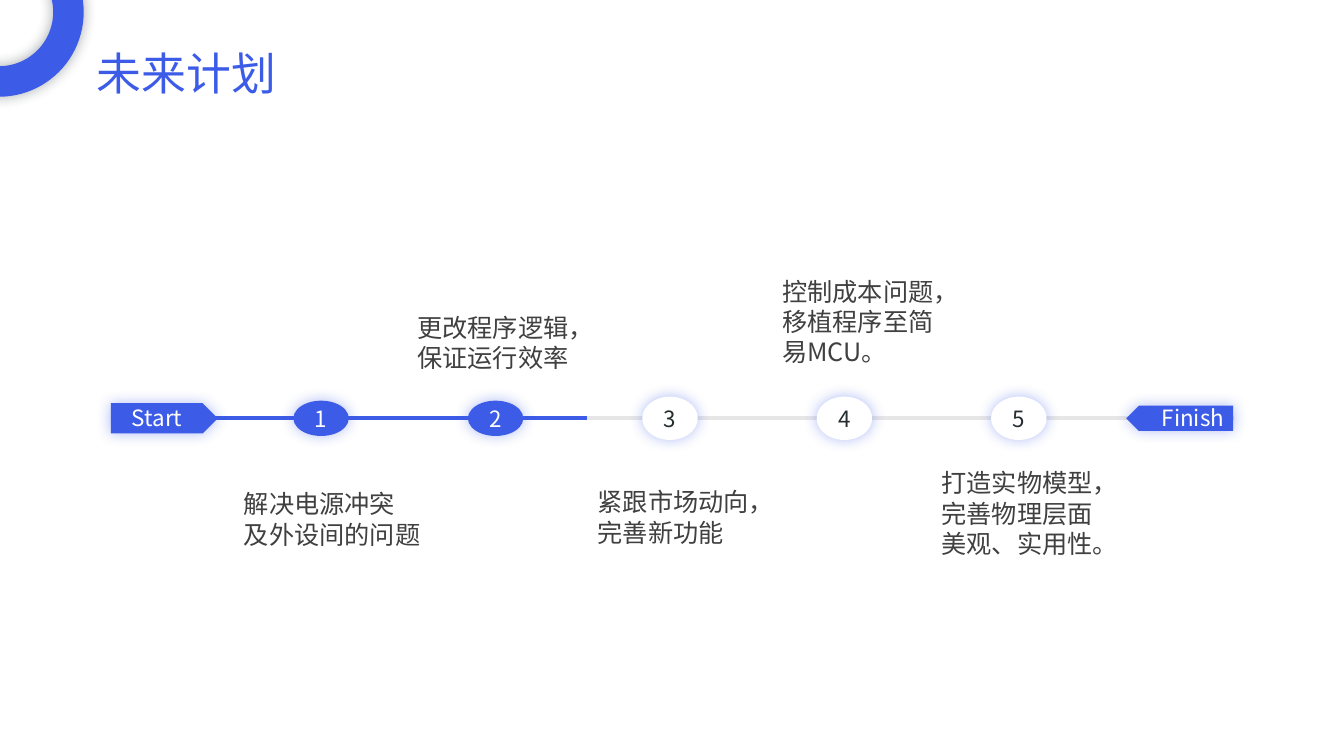
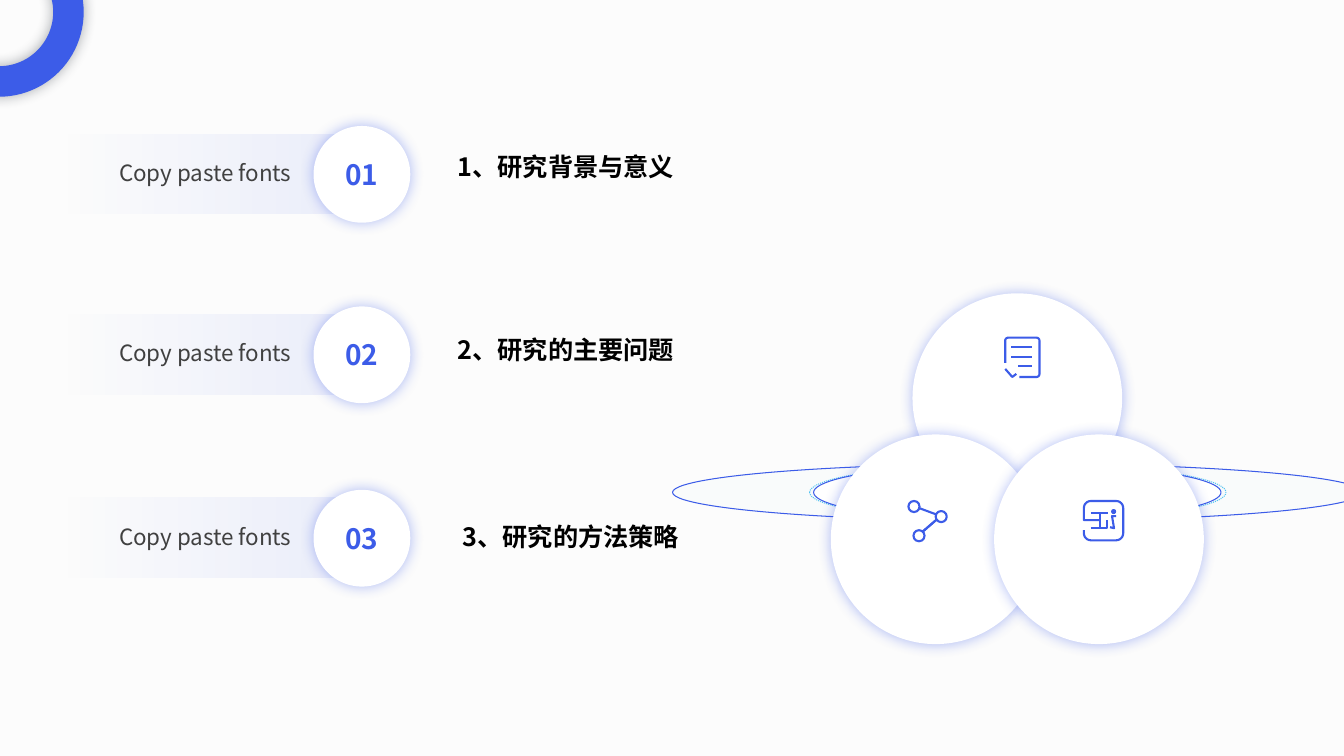
"""Builds a plan timeline slide and a contents slide with a three-circle emblem."""
import math

from lxml import etree
from pptx import Presentation, util as u
from pptx.dml.color import RGBColor
from pptx.enum import dml, shapes, text
from pptx.oxml.ns import qn

FONT = "Noto Sans CJK SC"
COLORS = {
    "blue": "3C5CE8", "white": "FFFFFF", "body": "404040", "digit": "252D30",
    "black": "000000", "track": "E7E6E6", "navy": "222A35", "page": "FCFCFC",
    "pale": "D3EDFB", "sky": "52C3F1",
}
OVAL = shapes.MSO_SHAPE.OVAL

PLAN_TITLE = "未来计划"
AXIS_Y, DONE_UNTIL = 4.15, 5.82
FIRST_STEP, STEP_GAP, STEP_WIDTH = 2.91, 1.73, 0.55
STEPS = [
    (True, 2.32, 4.8, ["解决电源冲突", "及外设间的问题"]),
    (True, 4.04, 3.05, ["更改程序逻辑，保证运行效率"]),
    (False, 5.83, 4.78, ["紧跟市场动向，", "完善新功能"]),
    (False, 7.66, 2.69, ["控制成本问题，", "移植程序至简", "易MCU。"]),
    (False, 9.24, 4.59, ["打造实物模型，", "完善物理层面", "美观、实用性。"]),
]
FLAGS = [
    ("Start", 1.1, 0.3, 0, 1.21, "LEFT"),
    ("Finish", 11.17, 0.25, 180, 11.33, "RIGHT"),
]

CHAPTERS = [
    ("01", 1.25, 4.44, 1.45, "1、研究背景与意义"),
    ("02", 3.04, 4.44, 3.27, "2、研究的主要问题"),
    ("03", 4.86, 4.49, 5.12, "3、研究的方法策略"),
]
CHAPTER_LABEL = "Copy paste fonts"
ORBITS = [
    (6.67, 6.85, "pale", 5, "blue"),
    (8.03, 4.13, "pale", 7, "sky"),
    (8.07, 4.04, "white", 100, "blue"),
]
DISCS = [(9.05, 2.91), (8.24, 4.31), (9.86, 4.31)]


def arc(cx, cy, radius, start, end):
    """Return points along an arc, angles in degrees clockwise from the right."""
    angles = [math.radians(start + (end - start) * i / 6) for i in range(7)]
    return [(cx + radius * math.cos(a), cy + radius * math.sin(a)) for a in angles]


CHECKLIST_STROKES = [
    [(9.97, 3.6), *arc(10, 3.38, 0.03, 180, 270), *arc(10.28, 3.38, 0.03, 270, 360),
     *arc(10.28, 3.71, 0.03, 0, 90), (10.11, 3.74)],
    [(9.97, 3.66), (10.04, 3.74), (10.08, 3.71)],
    [(10.03, 3.44), (10.24, 3.44)],
    [(10.03, 3.54), (10.24, 3.54)],
    [(10.1, 3.63), (10.24, 3.63)],
]
SKILL_STROKES = [
    [(10.75, 5.26), *arc(10.82, 5.29, 0.07, 180, 90), *arc(11.07, 5.29, 0.07, 90, 0),
     *arc(11.07, 5.04, 0.07, 0, -90), *arc(10.82, 5.04, 0.07, -90, -180),
     (10.75, 5.16), (10.91, 5.16)],
    [(10.82, 5.09), (10.99, 5.09)],
    [(10.91, 5.09), (10.91, 5.24)],
    [(10.82, 5.24), (10.98, 5.24), (10.98, 5.16)],
    [(11.01, 5.23), (11.05, 5.24), (11.03, 5.12), (11.07, 5.12)],
]
NETWORK = [(9.06, 5.02), (9.33, 5.12), (9.11, 5.31)]


def rgb(color):
    return RGBColor.from_string(COLORS[color])


def inches(*lengths):
    return [u.Inches(length) for length in lengths]


def set_alpha(shape, *percents):
    for node, percent in zip(shape._element.spPr.iter(qn("a:srgbClr")), percents):
        etree.SubElement(node, qn("a:alpha"), val=str(percent * 1000))


def add_glow(shape, color):
    effects = shape._element.spPr.find(qn("a:effectLst"))
    shadow = etree.SubElement(effects, qn("a:outerShdw"), blurRad="127000", dist="0",
                              algn="ctr", rotWithShape="0")
    tint = etree.SubElement(shadow, qn("a:srgbClr"), val=COLORS[color])
    etree.SubElement(tint, qn("a:alpha"), val="40000")


def add_figure(slide, preset, box, fill, glow=None, line=None, width=0.75):
    figure = slide.shapes.add_shape(preset, *inches(*box))
    figure.shadow.inherit = False
    figure.fill.solid()
    figure.fill.fore_color.rgb = rgb(fill)
    if line:
        figure.line.color.rgb = rgb(line)
        figure.line.width = u.Pt(width)
    else:
        figure.line.fill.background()
    if glow:
        add_glow(figure, glow)
    return figure


def write(shape, lines, size, color, align="LEFT", anchor="TOP", bold=False, inset=True):
    frame = shape.text_frame
    frame.text = "\n".join(lines)
    frame.word_wrap = True
    frame.vertical_anchor = getattr(text.MSO_ANCHOR, anchor)
    side, end = inches(0.1, 0.05) if inset else (0, 0)
    frame.margin_left = frame.margin_right = side
    frame.margin_top = frame.margin_bottom = end
    for paragraph in frame.paragraphs:
        paragraph.alignment = getattr(text.PP_ALIGN, align)
        for run in paragraph.runs:
            run.font.name = FONT
            run.font.size = u.Pt(size)
            run.font.bold = bold
            run.font.color.rgb = rgb(color)
            etree.SubElement(run.font._element, qn("a:ea"), typeface=FONT)


def add_text(slide, box, lines, size, color, **style):
    write(slide.shapes.add_textbox(*inches(*box)), lines, size, color, **style)


def add_line(slide, start, end, color, width):
    line = slide.shapes.add_connector(shapes.MSO_CONNECTOR.STRAIGHT, *inches(*start, *end))
    line.line.color.rgb = rgb(color)
    line.line.width = u.Pt(width)
    etree.SubElement(line._element.spPr, qn("a:effectLst"))


def add_stroke(slide, points):
    if len(points) == 2:
        add_line(slide, *points, "blue", 1.5)
        return
    corners = [inches(*point) for point in points]
    builder = slide.shapes.build_freeform(*corners[0])
    builder.add_line_segments(corners[1:], close=False)
    stroke = builder.convert_to_shape()
    stroke.shadow.inherit = False
    stroke.fill.background()
    stroke.line.color.rgb = rgb("blue")
    stroke.line.width = u.Pt(1.5)


def add_corner_ring(slide):
    ring = add_figure(slide, shapes.MSO_SHAPE.DONUT, (-0.85, -0.72, 1.68, 1.68),
                      "blue", glow="navy")
    ring.adjustments[0] = 0.18


def add_page(deck, layout, background):
    slide = deck.slides.add_slide(deck.slide_layouts[layout])
    slide.background.fill.solid()
    slide.background.fill.fore_color.rgb = rgb(background)
    add_corner_ring(slide)
    return slide


def build_plan(deck):
    slide = add_page(deck, 5, "white")
    title = slide.shapes.title
    title.left, title.top, title.width, title.height = inches(0.86, 0.4, 4.62, 0.64)
    write(title, [PLAN_TITLE], 32, "blue")

    add_line(slide, (DONE_UNTIL, AXIS_Y), (12.24, AXIS_Y), "track", 3)
    add_line(slide, (1.13, AXIS_Y), (DONE_UNTIL, AXIS_Y), "blue", 3)
    for label, left, height, rotation, label_left, align in FLAGS:
        flag = add_figure(slide, shapes.MSO_SHAPE.PENTAGON,
                          (left, AXIS_Y - height / 2, 1.06, height), "blue", glow="blue")
        flag.rotation = rotation
        add_text(slide, (label_left, 3.96, 0.91, 0.37), [label], 16, "white",
                 align=align, anchor="MIDDLE")

    for i, (done, left, top, lines) in enumerate(STEPS):
        height = 0.35 if done else 0.43
        step = add_figure(slide, OVAL, (FIRST_STEP + i * STEP_GAP, AXIS_Y - height / 2,
                                        STEP_WIDTH, height),
                          "blue" if done else "white", glow="blue")
        write(step, [str(i + 1)], 16, "white" if done else "digit",
              align="CENTER", anchor="MIDDLE", inset=False)
        add_text(slide, (left, top, 2, 0.1 + 0.3 * max(2, len(lines))), lines, 18, "body")


def add_emblem(slide):
    for left, width, fill, alpha, line in ORBITS:
        orbit = add_figure(slide, OVAL, (left, 4.6, width, 0.57), fill, line=line)
        set_alpha(orbit, alpha)
        if line == "sky":
            orbit.line.dash_style = dml.MSO_LINE.ROUND_DOT
    for left, top in DISCS:
        add_figure(slide, OVAL, (left, top, 2.08, 2.08), "white", glow="blue")
    for points in CHECKLIST_STROKES + SKILL_STROKES + list(zip(NETWORK, NETWORK[1:])):
        add_stroke(slide, points)
    add_line(slide, NETWORK[1], NETWORK[2], "blue", 1.5)
    add_figure(slide, OVAL, (11.02, 5.05, 0.05, 0.05), "blue")
    for x, y in NETWORK:
        add_figure(slide, OVAL, (x - 0.05, y - 0.05, 0.11, 0.11), "white",
                   line="blue", width=1.5)


def build_contents(deck):
    slide = add_page(deck, 6, "page")
    add_emblem(slide)
    for number, top, heading_left, heading_top, heading in CHAPTERS:
        band = add_figure(slide, shapes.MSO_SHAPE.RECTANGLE, (0.5, top + 0.08, 3.03, 0.79), "blue")
        band.fill.gradient()
        band.fill.gradient_angle = 0
        for stop in band.fill.gradient_stops:
            stop.color.rgb = rgb("blue")
        set_alpha(band, 0, 10)
        badge = add_figure(slide, OVAL, (3.11, top, 0.96, 0.96), "white", glow="blue")
        write(badge, [number], 20, "blue", align="CENTER", anchor="MIDDLE",
              bold=True, inset=False)
        add_text(slide, (1.04, top + 0.28, 1.95, 0.64), [CHAPTER_LABEL], 16, "body",
                 align="RIGHT")
        add_text(slide, (heading_left, heading_top, 7.17, 0.4), [heading], 18, "black",
                 bold=True)


def main():
    deck = Presentation()
    deck.slide_width, deck.slide_height = inches(13.33, 7.5)
    build_plan(deck)
    build_contents(deck)
    deck.save("out.pptx")


if __name__ == "__main__":
    main()
